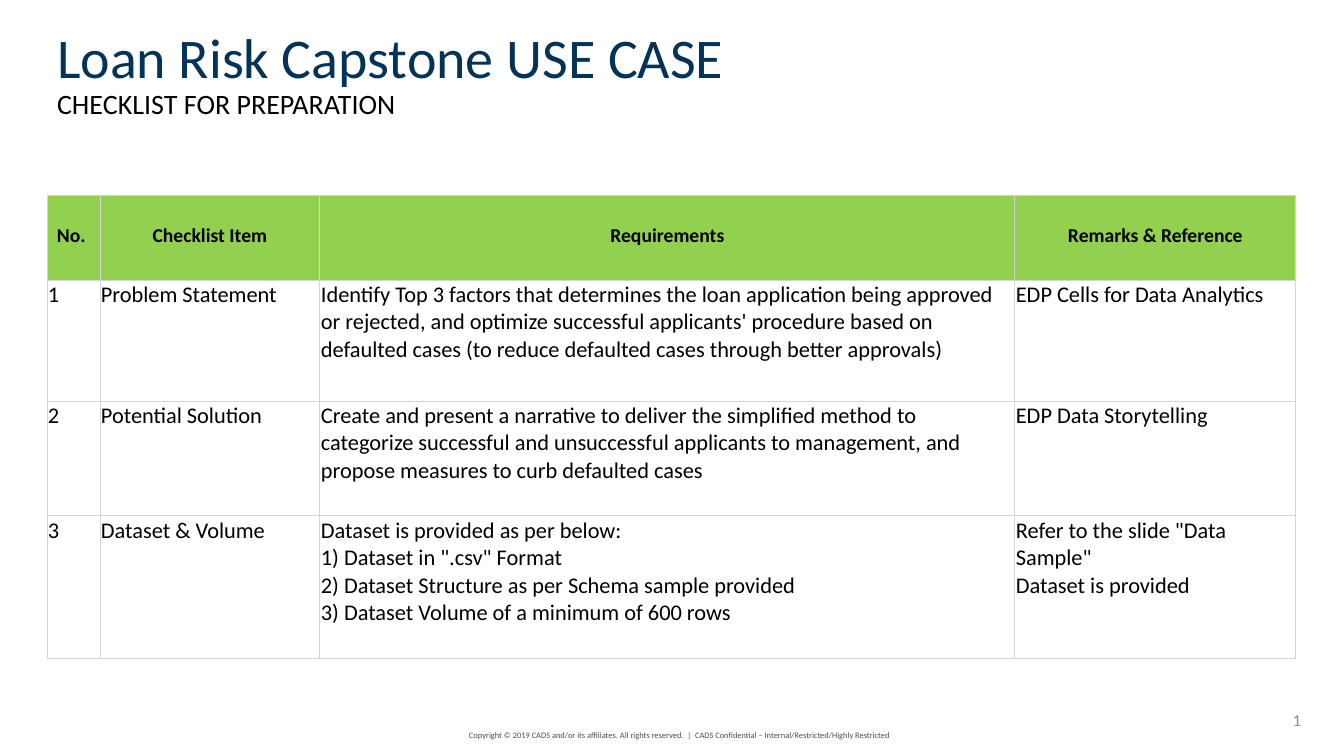
"""Build the loan risk capstone checklist slide."""
from copy import deepcopy

from lxml import etree
from pptx import Presentation
from pptx.dml.color import RGBColor
from pptx.enum.text import MSO_ANCHOR, PP_ALIGN
from pptx.oxml.ns import qn
from pptx.util import Emu, Pt

FONT = "Calibri"
NAVY = RGBColor(0x04, 0x33, 0x58)
BLACK = RGBColor(0x00, 0x00, 0x00)
GREEN = RGBColor(0x92, 0xD0, 0x50)
GRAY = RGBColor(0x8C, 0x8C, 0x8C)
DARK_GRAY = RGBColor(0x4D, 0x4D, 0x4D)
BORDER = RGBColor(0xD4, 0xD4, 0xD4)
LEFT, CENTER, RIGHT = PP_ALIGN.LEFT, PP_ALIGN.CENTER, PP_ALIGN.RIGHT
TOP, MIDDLE = MSO_ANCHOR.TOP, MSO_ANCHOR.MIDDLE

COLUMN_WIDTHS = (53, 220, 695, 281)
ROW_HEIGHTS = (85, 121, 115, 143)
CHECKLIST = (
    ("No. ", "Checklist Item", "Requirements", "Remarks & Reference"),
    ("1", "Problem Statement",
     "Identify Top 3 factors that determines the loan application being approved "
     "or rejected, and optimize successful applicants' procedure based on "
     "defaulted cases (to reduce defaulted cases through better approvals)",
     "EDP Cells for Data Analytics"),
    ("2", "Potential Solution",
     "Create and present a narrative to deliver the simplified method to "
     "categorize successful and unsuccessful applicants to management, and "
     "propose measures to curb defaulted cases",
     "EDP Data Storytelling"),
    ("3", "Dataset & Volume",
     "Dataset is provided as per below:\n"
     "1) Dataset in \".csv\" Format\n"
     "2) Dataset Structure as per Schema sample provided\n"
     "3) Dataset Volume of a minimum of 600 rows",
     "Refer to the slide \"Data Sample\"\nDataset is provided"),
)


def px(length):
    """Turn whole pixels into EMU."""
    return Emu(round(length * 914400 / 100.8))


def write(paragraph, text, *, size, color=BLACK, bold=False, align=LEFT, spacing=None):
    """Fill a paragraph with formatted text, newlines becoming line breaks."""
    paragraph.text = text
    paragraph.alignment = align
    if spacing:
        paragraph.line_spacing = spacing
    for span in paragraph.runs:
        span.font.name = FONT
        span.font.size = Pt(size)
        span.font.bold = bold
        span.font.color.rgb = color
    for line_break in paragraph._p.findall(qn("a:br")):
        line_break.append(deepcopy(paragraph.runs[0]._r.rPr))


def add_title(page, title, subtitle):
    """Place the title placeholder with its subtitle line."""
    box = page.shapes.title
    box.left, box.top, box.width, box.height = px(47), px(25), px(1296), px(141)
    frame = box.text_frame
    frame.word_wrap = True
    frame.vertical_anchor = TOP
    write(frame.paragraphs[0], title, size=40, color=NAVY, spacing=0.9)
    write(frame.add_paragraph(), subtitle, size=20, spacing=0.9)


def add_label(page, left, top, width, height, text, *, margin=None, wrap=True, **style):
    """Add a text box with one middle-anchored line and return its paragraph."""
    box = page.shapes.add_textbox(px(left), px(top), px(width), px(height))
    frame = box.text_frame
    frame.word_wrap = wrap
    frame.vertical_anchor = MIDDLE
    if margin is not None:
        frame.margin_left = frame.margin_right = px(margin)
        frame.margin_top = frame.margin_bottom = px(margin)
    write(frame.paragraphs[0], text, **style)
    return frame.paragraphs[0]


def make_slide_number(paragraph):
    """Turn the first run of a paragraph into a slide number field."""
    field = paragraph.runs[0]._r
    field.tag = qn("a:fld")
    field.set("id", "{B6F15528-21DE-4FAA-801E-634DDDAF4B2B}")
    field.set("type", "slidenum")


def set_borders(cell):
    """Draw thin borders on all four sides of a cell."""
    properties = cell._tc.get_or_add_tcPr()
    for position, side in enumerate(("a:lnL", "a:lnR", "a:lnT", "a:lnB")):
        line = etree.Element(qn(side), w=str(Pt(0.75)))
        fill = etree.SubElement(line, qn("a:solidFill"))
        etree.SubElement(fill, qn("a:srgbClr"), val=str(BORDER))
        properties.insert(position, line)


def fill_cell(cell, text, is_header):
    """Write and format one checklist cell."""
    cell.margin_left = cell.margin_right = cell.margin_top = px(1)
    cell.margin_bottom = px(4)
    cell.vertical_anchor = MIDDLE if is_header else TOP
    if is_header:
        cell.fill.solid()
        cell.fill.fore_color.rgb = GREEN
        style = {"size": 14, "bold": True, "align": CENTER}
    else:
        cell.fill.background()
        style = {"size": 16}
    write(cell.text_frame.paragraphs[0], text, **style)
    set_borders(cell)


def add_checklist(page, left, top):
    """Add the checklist table."""
    table = page.shapes.add_table(
        len(ROW_HEIGHTS), len(COLUMN_WIDTHS), px(left), px(top),
        px(sum(COLUMN_WIDTHS)), px(sum(ROW_HEIGHTS))).table
    table.horz_banding = False
    for column, width in zip(table.columns, COLUMN_WIDTHS):
        column.width = px(width)
    for row, height, texts in zip(table.rows, ROW_HEIGHTS, CHECKLIST):
        row.height = px(height)
        for cell, text in zip(row.cells, texts):
            fill_cell(cell, text, texts is CHECKLIST[0])


def main():
    """Build and save the deck."""
    deck = Presentation()
    deck.slide_width, deck.slide_height = px(1344), px(756)
    page = deck.slides.add_slide(deck.slide_layouts[5])
    add_title(page, "Loan Risk Capstone USE CASE", "CHECKLIST FOR PREPARATION")
    add_checklist(page, 47, 195)
    number = add_label(page, 1197, 700, 114, 40, "9", size=12, color=GRAY, align=RIGHT)
    make_slide_number(number)
    add_label(
        page, 469, 725, 438, 20,
        "Copyright © 2019 CADS and/or its affiliates. All rights reserved.  |  "
        "CADS Confidential – Internal/Restricted/Highly Restricted",
        margin=0, wrap=False, size=6, color=DARK_GRAY)
    deck.save("out.pptx")


if __name__ == "__main__":
    main()
